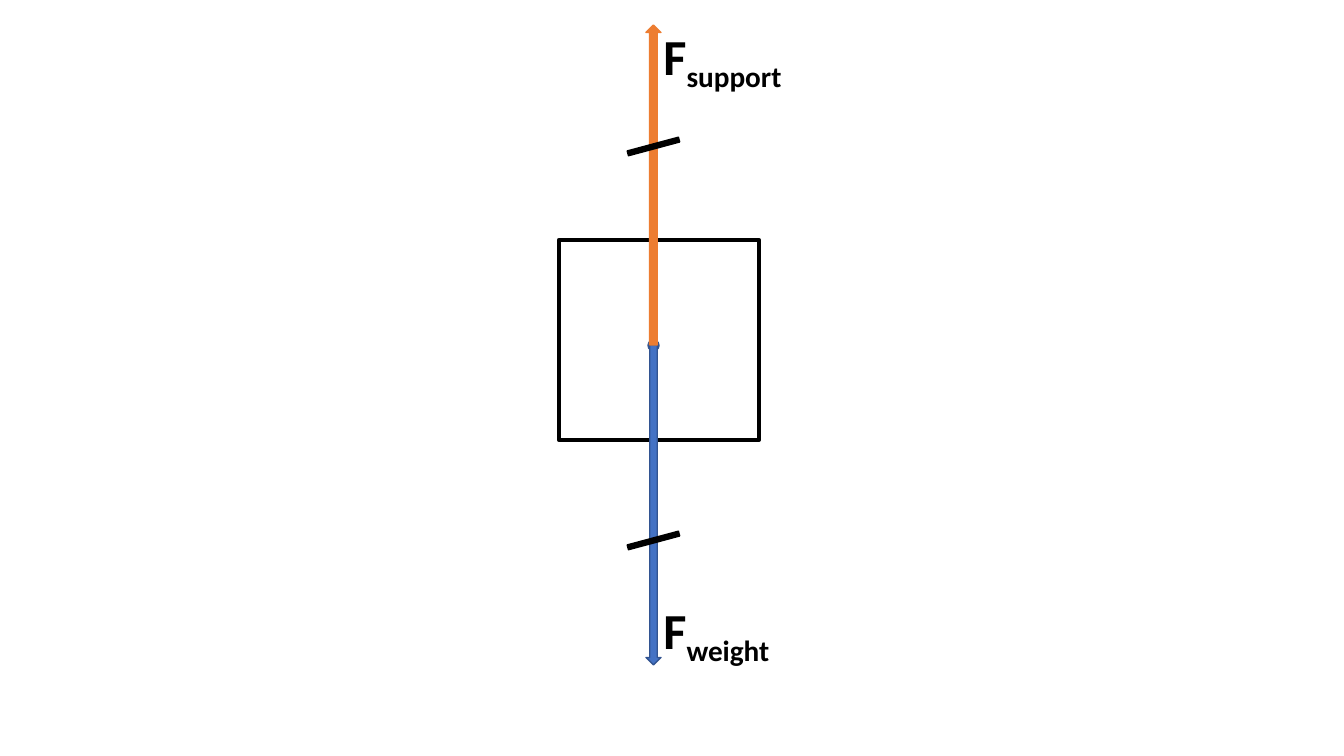
import pptx
import pptx.util
import pptx.dml.color
import pptx.enum.shapes
import pptx.enum.text

SCALE = 914400 / 100.8  # EMU per pixel
SHAPE = pptx.enum.shapes.MSO_SHAPE
COLORS = {
    "ink": "000000",
    "edge": "325491",
    "weight": "4472C4",
    "support": "ED7D31",
}


def px(n):
    return pptx.util.Emu(round(n * SCALE))


def rgb(name):
    return pptx.dml.color.RGBColor.from_string(COLORS[name])


def add_shape(slide, kind, box, fill=None, line="ink", width=1, rotation=0):
    sp = slide.shapes.add_shape(kind, *map(px, box))
    sp.shadow.inherit = False
    sp.rotation = rotation
    if fill:
        sp.fill.solid()
        sp.fill.fore_color.rgb = rgb(fill)
    else:
        sp.fill.background()
    sp.line.color.rgb = rgb(line)
    sp.line.width = pptx.util.Pt(width)
    return sp


def add_run(p, text, size=36, font="Calibri", color="ink", bold=True, baseline=0):
    r = p.add_run()
    r.text = text
    r.font.size = pptx.util.Pt(size)
    r.font.name = font
    r.font.bold = bold
    r.font.color.rgb = rgb(color)
    if baseline:
        r.font._element.set("baseline", str(baseline * 1000))


def add_label(slide, box, subscript):
    tf = slide.shapes.add_textbox(*map(px, box)).text_frame
    tf.word_wrap = False
    tf.auto_size = pptx.enum.text.MSO_AUTO_SIZE.SHAPE_TO_FIT_TEXT
    p = tf.paragraphs[0]
    add_run(p, "F")
    add_run(p, subscript, baseline=-25)


def draw_body(slide, box):
    """Square body with a dot where the forces act."""
    x, y, w, h = box
    add_shape(slide, SHAPE.RECTANGLE, box, width=3)
    add_shape(slide, SHAPE.OVAL, (x + 89, y + 100, 11, 11), fill="ink", line="edge")


def draw_force(slide, box, name, rotation, edge, label_top, label_width):
    """Vertical arrow filling the box, with its label to the right."""
    x, y, w, h = box
    # The arrow lies flat before it is rotated about its centre
    flat = (x + (w - h) / 2, y + (h - w) / 2, h, w)
    add_shape(slide, SHAPE.RIGHT_ARROW, flat, fill=name, line=edge, rotation=rotation)
    add_label(slide, (x + w / 2, y + label_top, label_width, 72), name)


def draw_tick(slide, box):
    """Slanted mark showing that the two forces are equal."""
    add_shape(slide, SHAPE.RECTANGLE, box, fill="ink", rotation=345)


prs = pptx.Presentation()
prs.slide_width, prs.slide_height = px(1344), px(756)
slide = prs.slides.add_slide(prs.slide_layouts[6])

draw_body(slide, (559, 240, 200, 200))

# Equal and opposite forces
draw_force(slide, (646, 345, 15, 320), "weight", 90, "edge", 249, 140)
draw_force(slide, (646, 25, 15, 320), "support", 270, "support", -5, 153)

# Equal-length marks
for top in (144, 538):
    draw_tick(slide, (627, top, 53, 5))

prs.save("out.pptx")
